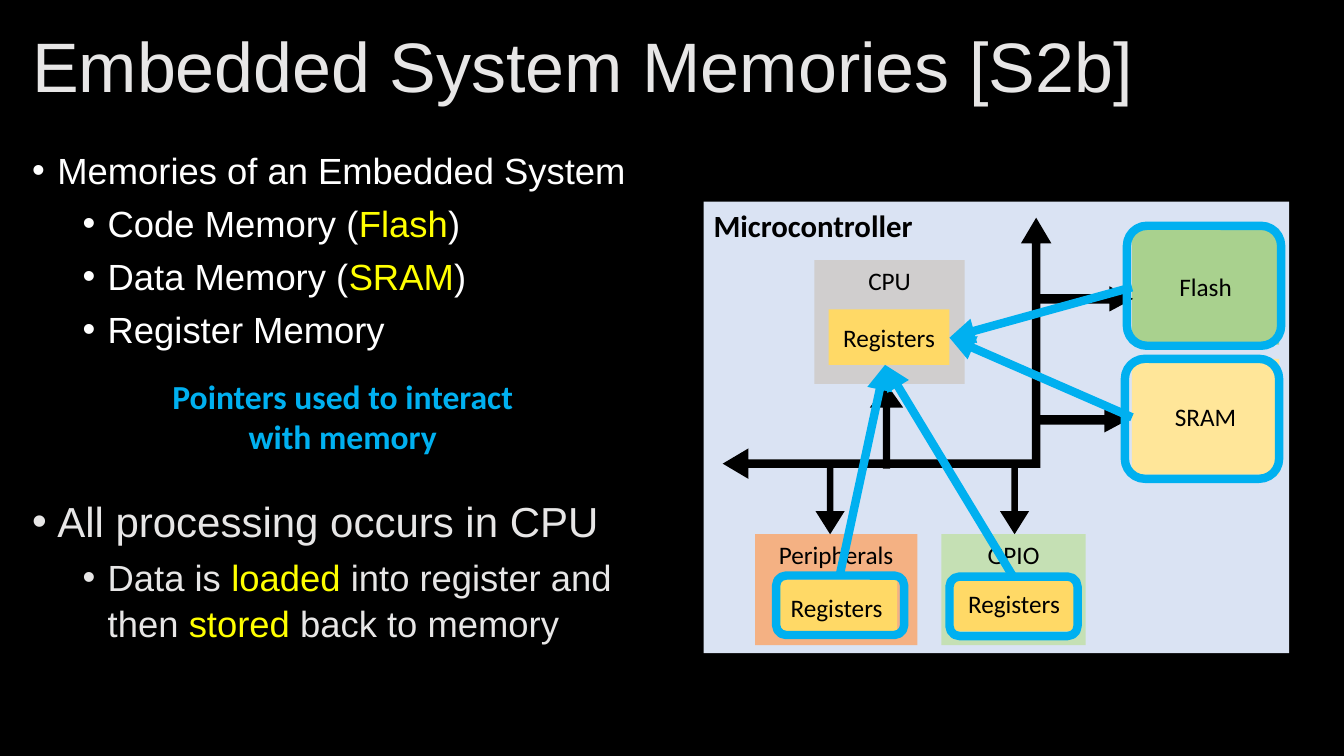
"""Build the slide on embedded system memories with its microcontroller diagram."""
from lxml import etree
from pptx import Presentation
from pptx.dml.color import RGBColor
from pptx.enum.shapes import MSO_CONNECTOR, MSO_SHAPE
from pptx.enum.text import MSO_ANCHOR, PP_ALIGN
from pptx.oxml.ns import qn
from pptx.util import Inches, Pt

COLORS = {
    "black": "000000", "white": "FFFFFF", "pale": "E7E6E6", "yellow": "FFFF00",
    "pointer": "00B0F0", "panel": "DAE3F3", "gpio": "C5E0B4", "flash": "A9D18E",
    "cpu": "D0CECE", "peripherals": "F4B183", "sram": "FFE699", "register": "FFD966",
}
CELL = Inches(0.1)
COLUMNS, ROWS = 133.33, 75

deck = Presentation()
deck.slide_width, deck.slide_height = int(COLUMNS * CELL), int(ROWS * CELL)
page = deck.slides.add_slide(deck.slide_layouts[6])
page.background.fill.solid()
page.background.fill.fore_color.rgb = RGBColor.from_string(COLORS["black"])


def write(para, text, size=18, color="black", font="Calibri", bold=False, align=None):
    """Append one formatted span to a paragraph."""
    span = para.add_run()
    span.text = text
    span.font.size, span.font.name, span.font.bold = Pt(size), font, bold
    span.font.color.rgb = RGBColor.from_string(COLORS[color])
    if align is not None:
        para.alignment = align


def place(kind, cells, fill=None, turn=0, adjust=()):
    """Add a shape, or a wrapping text box when kind is None, at grid cells."""
    bounds = [int(cell * CELL) for cell in cells]
    if kind is None:
        box = page.shapes.add_textbox(*bounds)
    else:
        box = page.shapes.add_shape(kind, *bounds)
        box.shadow.inherit = False
        box.line.fill.background()
        box.rotation = turn
        for index, value in enumerate(adjust):
            box.adjustments[index] = value
    if fill:
        box.fill.solid()
        box.fill.fore_color.rgb = RGBColor.from_string(COLORS[fill])
    else:
        box.fill.background()
    box.text_frame.word_wrap = True
    box.text_frame.vertical_anchor = MSO_ANCHOR.TOP
    return box


title = place(None, (2.2, 2.1, 128.9, 9.7)).text_frame
title.vertical_anchor = MSO_ANCHOR.MIDDLE
title.paragraphs[0].line_spacing = 0.9
write(title.paragraphs[0], "Embedded System Memories [S2b]", size=50, color="pale", font="Arial")

bullets = [
    (0, 10, 26, [("Memories of an Embedded System", "white")]),
    (1, 5, 26, [("Code Memory (", "white"), ("Flash", "yellow"), (")", "white")]),
    (1, 5, 26, [("Data Memory (", "white"), ("SRAM", "yellow"), (")", "white")]),
    (1, 5, 26, [("Register Memory", "white")]),
    (0, 102, 30, [("All processing occurs in CPU", "pale")]),
    (1, 5, 26, [("Data is ", "pale"), ("loaded", "yellow"), (" into register and then ", "pale"),
                ("stored", "yellow"), (" back to memory", "pale")]),
]
body = place(None, (2.2, 14, 65.2, 55.9)).text_frame
for number, (level, gap, size, spans) in enumerate(bullets):
    para = body.add_paragraph() if number else body.paragraphs[0]
    para.level, para.space_before, para.line_spacing = level, Pt(gap), 1.05
    properties = para._p.get_or_add_pPr()
    properties.set("marL", str(Inches(0.25 + 0.5 * level)))
    properties.set("indent", str(-Inches(0.25)))
    etree.SubElement(properties, qn("a:buFont"), typeface="Arial")
    etree.SubElement(properties, qn("a:buChar"), char="•")
    for text, color in spans:
        write(para, text, size=size, color=color, font="Arial")

panel = place(MSO_SHAPE.RECTANGLE, (69.8, 20, 58.1, 44.8), "panel")
write(panel.text_frame.paragraphs[0], "Microcontroller", size=22, bold=True, align=PP_ALIGN.LEFT)

register_size = (12, 5.5)
memory_size = (14.6, 11.5)
blocks = [
    ("GPIO", (93.4, 53, 14.3, 11), "gpio", MSO_ANCHOR.TOP),
    ("Peripherals", (74.9, 53, 16.1, 11), "peripherals", MSO_ANCHOR.TOP),
    ("CPU", (80.8, 25.8, 14.9, 12.3), "cpu", MSO_ANCHOR.TOP),
    ("Flash", (112.3, 22.7, *memory_size), "flash", MSO_ANCHOR.MIDDLE),
    ("SRAM", (112.3, 35.6, *memory_size), "sram", MSO_ANCHOR.MIDDLE),
    ("Registers", (94.6, 57.1, *register_size), "register", MSO_ANCHOR.MIDDLE),
    ("Registers", (82.2, 30.7, *register_size), "register", MSO_ANCHOR.MIDDLE),
    ("Registers", (77, 57.5, *register_size), "register", MSO_ANCHOR.MIDDLE),
]
for label, cells, fill, anchor in blocks:
    block = place(MSO_SHAPE.RECTANGLE, cells, fill).text_frame
    block.vertical_anchor = anchor
    write(block.paragraphs[0], label, align=PP_ALIGN.CENTER)

place(MSO_SHAPE.LEFT_UP_ARROW, (71.7, 21.6, 32.6, 25.9), "black", adjust=(0.032, 0.058, 0.098))
bus_branches = [
    ((86.3, 38.1, 3.3, 8.4), 0, (0.222, 0.708)),
    ((99.2, 46.3, 2.9, 6.7), 180, (0.222, 0.795)),
    ((80.9, 46.3, 2.9, 6.7), 180, (0.222, 0.795)),
    ((106.4, 24.9, 2.5, 9.5), 90, (0.382, 0.936)),
    ((105.9, 36.9, 2.5, 9.5), 90, (0.382, 0.936)),
]
for cells, turn, adjust in bus_branches:
    place(MSO_SHAPE.UP_ARROW, cells, "black", turn, adjust)

register_frame = (12.7, 5.9)
memory_frame = (15.3, 11.9)
for cells in [(77, 57.1, *register_frame), (94.2, 57.2, *register_frame),
              (111.6, 35.6, *memory_frame), (111.8, 22.4, *memory_frame)]:
    frame = place(MSO_SHAPE.ROUNDED_RECTANGLE, cells)
    frame.line.color.rgb = RGBColor.from_string(COLORS["pointer"])
    frame.line.width = Pt(6)

cpu_bottom, cpu_right = (87.8, 36.2), (94.2, 33.5)
for start, end in [((83.3, 57.1), cpu_bottom), ((100.5, 57.2), cpu_bottom),
                   ((112.3, 28.5), cpu_right), ((112.3, 41.4), cpu_right)]:
    pointer = page.shapes.add_connector(
        MSO_CONNECTOR.STRAIGHT, *[int(cell * CELL) for cell in (*start, *end)])
    pointer.line.color.rgb = RGBColor.from_string(COLORS["pointer"])
    pointer.line.width = Pt(6)
    etree.SubElement(pointer.line._get_or_add_ln(), qn("a:tailEnd"), type="triangle")
    etree.SubElement(pointer._element.spPr, qn("a:effectLst"))

note = place(None, (13.8, 36.8, 40.4, 9.1)).text_frame
write(note.paragraphs[0], "Pointers used to interact with memory", size=24, color="pointer",
      bold=True, align=PP_ALIGN.CENTER)

deck.save("out.pptx")
